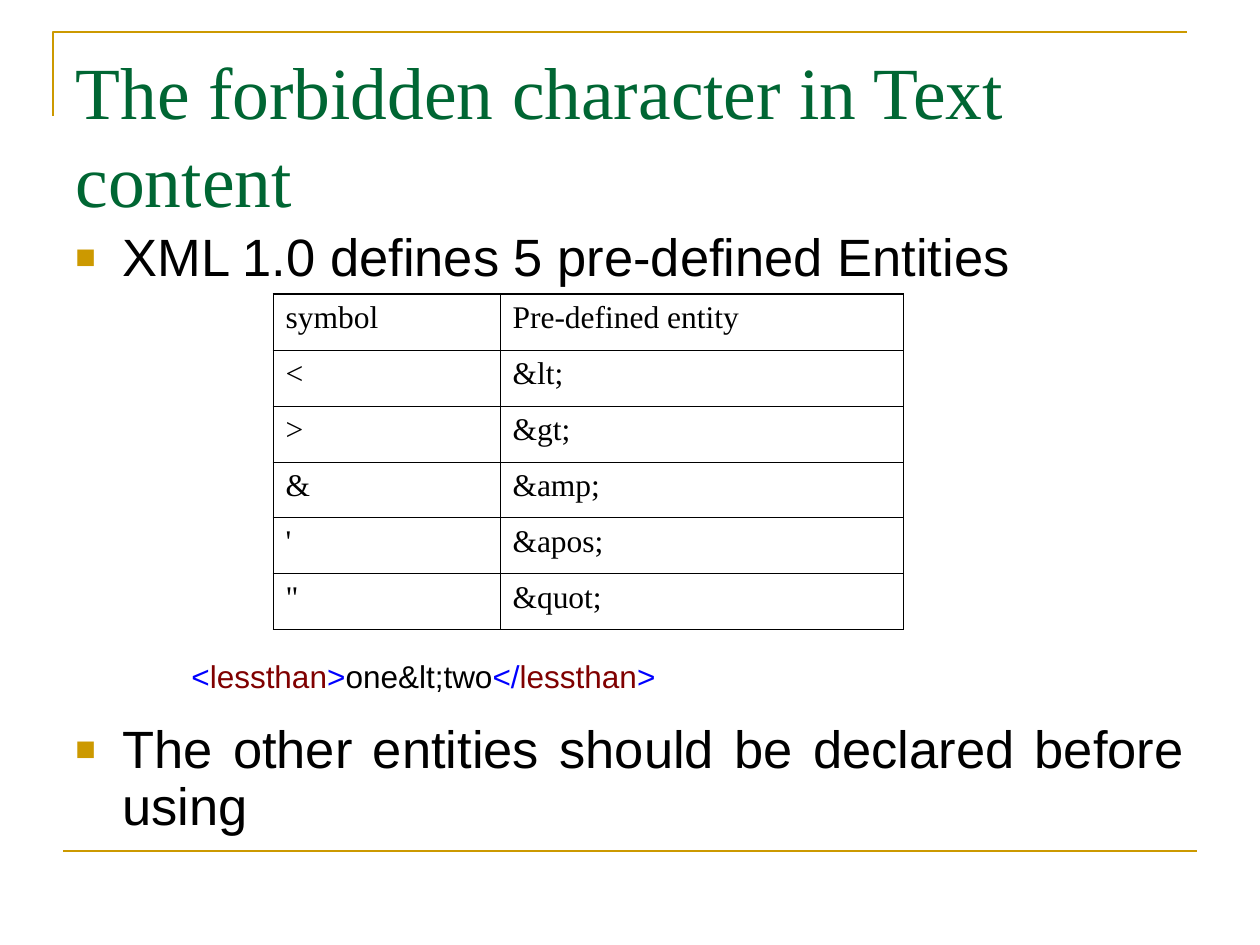
"""Builds a slide on the pre-defined entities of XML."""
from lxml import etree
from pptx import Presentation
from pptx.dml.color import RGBColor
from pptx.enum.shapes import MSO_CONNECTOR
from pptx.enum.text import MSO_ANCHOR, MSO_AUTO_SIZE, PP_ALIGN
from pptx.oxml.ns import qn
from pptx.util import Pt

LINE = MSO_CONNECTOR.STRAIGHT
TOP, NO_FIT = MSO_ANCHOR.TOP, MSO_AUTO_SIZE.NONE
LEFT, JUSTIFY = PP_ALIGN.LEFT, PP_ALIGN.JUSTIFY
PX = 914400 / 126
SERIF, SANS = "Times New Roman", "Arial"
COLORS = {"gold": "CC9900", "green": "006633", "black": "000000",
          "blue": "0000FF", "maroon": "800000"}

TITLE = "The forbidden character in Text content"
BULLETS = [("XML 1.0 defines 5 pre-defined Entities", 0),
           ("The other entities should be declared before using", 249)]
ENTITIES = [("symbol", "Pre-defined entity"), ("<", "&lt;"), (">", "&gt;"),
            ("&", "&amp;"), ("'", "&apos;"), ('"', "&quot;")]
EXAMPLE = [("<", "blue"), ("lessthan", "maroon"), (">", "blue"),
           ("one&lt;two", "black"), ("</", "blue"), ("lessthan", "maroon"),
           (">", "blue")]
CORNER = [(53, 116), (53, 32), (1187, 32)]
FOOT_RULE = (63, 851, 1197, 851)
TITLE_BOX = (63, 38, 1134, 157)
BODY_BOX = (63, 220, 1134, 703)
EXAMPLE_BOX = (179, 651, 861, 50)
TABLE_LEFT, TABLE_TOP, ROW_HEIGHT = 273, 294, 56
COLUMN_WIDTHS = [227, 403]
INDENT = 47
THIN, INNER, THICK = 0.34, 0.45, 0.96


def emu(*lengths):
    return [round(length * PX) for length in lengths]


def color(name):
    return RGBColor.from_string(COLORS[name])


def add_span(para, text, size, font, name="black"):
    span = para.add_run()
    span.text = text
    span.font.size = Pt(size)
    span.font.name = font
    span.font.color.rgb = color(name)


def add_text_box(page, place):
    frame = page.shapes.add_textbox(*emu(*place)).text_frame
    frame.word_wrap = True
    return frame


def style_rule(rule):
    rule.line.color.rgb = color("gold")
    rule.line.width = Pt(1.5)


def add_rules(page):
    builder = page.shapes.build_freeform(*CORNER[0], scale=PX)
    builder.add_line_segments(CORNER[1:], close=False)
    corner = builder.convert_to_shape()
    corner.fill.background()
    corner.shadow.inherit = False
    style_rule(corner)
    foot = page.shapes.add_connector(LINE, *emu(*FOOT_RULE))
    style_rule(foot)
    etree.SubElement(foot.line._get_or_add_ln().getparent(), qn("a:effectLst"))


def fill_title(page):
    title = page.shapes.title
    title.left, title.top, title.width, title.height = emu(*TITLE_BOX)
    frame = title.text_frame
    frame.auto_size = NO_FIT
    frame.vertical_anchor = TOP
    frame.margin_top = emu(9)[0]
    para = frame.paragraphs[0]
    para.alignment = LEFT
    para.line_spacing = Pt(50)
    add_span(para, TITLE, 42, SERIF, "green")


def add_bullet(para):
    props = para._p.get_or_add_pPr()
    indent = emu(INDENT)[0]
    props.set("marL", str(indent))
    props.set("indent", str(-indent))
    tint = etree.SubElement(props, qn("a:buClr"))
    etree.SubElement(tint, qn("a:srgbClr"), val=COLORS["gold"])
    etree.SubElement(props, qn("a:buSzPct"), val="65000")
    etree.SubElement(props, qn("a:buFont"), typeface=SANS)
    etree.SubElement(props, qn("a:buChar"), char="■")


def add_body(page):
    frame = add_text_box(page, BODY_BOX)
    frame.margin_top = emu(11)[0]
    for index, (text, gap) in enumerate(BULLETS):
        para = frame.add_paragraph() if index else frame.paragraphs[0]
        para.alignment = JUSTIFY
        para.line_spacing = 0.9
        para.space_before = Pt(gap)
        add_bullet(para)
        add_span(para, text, 30, SANS)


def add_borders(cell, widths):
    props = cell._tc.get_or_add_tcPr()
    for index, (side, width) in enumerate(widths.items()):
        border = etree.Element(qn("a:ln" + side), w=str(Pt(width)))
        fill = etree.SubElement(border, qn("a:solidFill"))
        etree.SubElement(fill, qn("a:srgbClr"), val=COLORS["black"])
        props.insert(index, border)


def add_entity_table(page):
    last_row, last_column = len(ENTITIES) - 1, len(COLUMN_WIDTHS) - 1
    place = emu(TABLE_LEFT, TABLE_TOP, sum(COLUMN_WIDTHS),
                ROW_HEIGHT * len(ENTITIES))
    table = page.shapes.add_table(
        len(ENTITIES), len(COLUMN_WIDTHS), *place).table
    table.first_row = table.horz_banding = False
    for column, width in zip(table.columns, emu(*COLUMN_WIDTHS)):
        column.width = width
    for row, texts in enumerate(ENTITIES):
        table.rows[row].height = emu(ROW_HEIGHT)[0]
        for column, text in enumerate(texts):
            cell = table.cell(row, column)
            cell.fill.background()
            add_span(cell.text_frame.paragraphs[0], text, 18, SERIF)
            add_borders(cell, {
                "L": INNER if column else THIN,
                "R": THIN if column == last_column else INNER,
                "T": INNER if row else THICK,
                "B": THICK if row == last_row else INNER})


def add_example(page):
    para = add_text_box(page, EXAMPLE_BOX).paragraphs[0]
    for text, name in EXAMPLE:
        add_span(para, text, 18, SANS, name)


def main():
    deck = Presentation()
    deck.slide_width, deck.slide_height = emu(1260, 945)
    page = deck.slides.add_slide(deck.slide_layouts[5])
    add_rules(page)
    fill_title(page)
    add_body(page)
    add_entity_table(page)
    add_example(page)
    deck.save("out.pptx")


if __name__ == "__main__":
    main()
